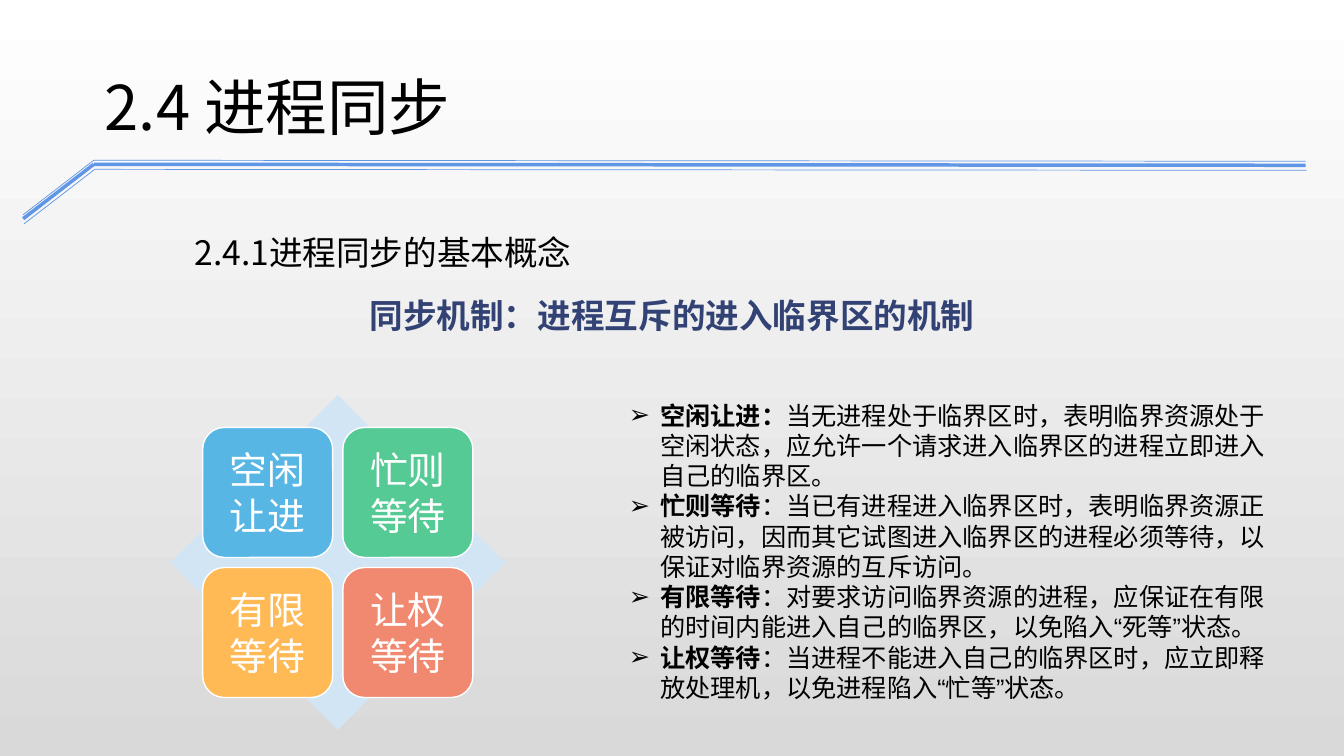
from lxml.etree import SubElement
from pptx import Presentation
from pptx.dml.color import RGBColor
from pptx.enum.shapes import MSO_CONNECTOR, MSO_SHAPE
from pptx.enum.text import MSO_ANCHOR, PP_ALIGN
from pptx.oxml.ns import qn
from pptx.util import Inches, Pt

COLORS = {
    "white": "FFFFFF", "shade": "D9D9D9", "ink": "000000", "navy": "324274",
    "rule": "6096E6", "diamond": "D1E5F5", "blue": "58B6E5",
    "green": "56CA95", "amber": "FFBA55", "coral": "F18870",
}
HEADING_FONT = "Noto Sans CJK JP"
BODY_FONT = "Arial"


def color(name):
    return RGBColor.from_string(COLORS[name])


def add_run(paragraph, text, size=18, font=BODY_FONT, ink="ink", bold=False):
    run = paragraph.add_run()
    run.text = text
    run.font.size = Pt(size)
    run.font.name = font
    run.font.bold = bold
    run.font.color.rgb = color(ink)
    SubElement(run.font._element, qn("a:ea"), typeface=font)


class SlideBuilder:
    def __init__(self, slide):
        self.slide = slide

    def background(self, top, bottom):
        fill = self.slide.background.fill
        fill.gradient()
        fill.gradient_angle = 270
        for stop, name, position in zip(fill.gradient_stops, (top, bottom), (0, 1)):
            stop.color.rgb = color(name)
            stop.position = position

    def line(self, start, end, width):
        connector = self.slide.shapes.add_connector(
            MSO_CONNECTOR.STRAIGHT, *map(Inches, start + end))
        connector.line.color.rgb = color("rule")
        connector.line.width = Pt(width)
        SubElement(connector._element.spPr, qn("a:effectLst"))

    def heading(self, text, box, align=PP_ALIGN.LEFT, spacing=1.0, **style):
        frame = self.slide.shapes.add_textbox(*map(Inches, box)).text_frame
        frame.word_wrap = True
        paragraph = frame.paragraphs[0]
        paragraph.alignment = align
        paragraph.line_spacing = spacing
        add_run(paragraph, text, font=HEADING_FONT, **style)

    def shape(self, preset, box, fill):
        shape = self.slide.shapes.add_shape(preset, *map(Inches, box))
        shape.shadow.inherit = False
        shape.fill.solid()
        shape.fill.fore_color.rgb = color(fill)
        shape.line.fill.background()
        return shape

    def card(self, text, box, fill):
        card = self.shape(MSO_SHAPE.ROUNDED_RECTANGLE, box, fill)
        card.line.color.rgb = color("white")
        card.line.width = Pt(1)
        frame = card.text_frame
        frame.word_wrap = True
        frame.vertical_anchor = MSO_ANCHOR.MIDDLE
        frame.margin_left = frame.margin_right = Inches(0.11)
        frame.margin_top = frame.margin_bottom = Inches(0.11)
        frame.paragraphs[0].alignment = PP_ALIGN.CENTER
        add_run(frame.paragraphs[0], text, size=27, ink="white")

    def bullets(self, items, box):
        """Write (bold term, explanation) pairs as one bulleted list."""
        frame = self.slide.shapes.add_textbox(*map(Inches, box)).text_frame
        frame.word_wrap = True
        for index, (term, explanation) in enumerate(items):
            paragraph = frame.add_paragraph() if index else frame.paragraphs[0]
            properties = paragraph._p.get_or_add_pPr()
            properties.set("marL", str(Inches(0.31)))
            properties.set("indent", str(-Inches(0.31)))
            SubElement(properties, qn("a:buFont"), typeface=BODY_FONT)
            SubElement(properties, qn("a:buChar"), char="➢")
            add_run(paragraph, term, bold=True)
            add_run(paragraph, explanation)


PRINCIPLES = [
    ("空闲让进：", "当无进程处于临界区时，表明临界资源处于空闲状态，应允许一个请求进入临界区的进程立即进入自己的临界区。"),
    ("忙则等待", "：当已有进程进入临界区时，表明临界资源正被访问，因而其它试图进入临界区的进程必须等待，以保证对临界资源的互斥访问。"),
    ("有限等待", "：对要求访问临界资源的进程，应保证在有限的时间内能进入自己的临界区，以免陷入“死等”状态。"),
    ("让权等待", "：当进程不能进入自己的临界区时，应立即释放处理机，以免进程陷入“忙等”状态。"),
]
CARD_FILLS = ["blue", "green", "amber", "coral"]
CARD_SIZE, CARD_PITCH = 1.29, 1.39


def main():
    deck = Presentation()
    deck.slide_width, deck.slide_height = Inches(13.33), Inches(7.5)
    builder = SlideBuilder(deck.slides.add_slide(deck.slide_layouts[6]))
    builder.background("white", "shade")

    for dx, dy, width in [(0, 0, 0.5), (0, 0.04, 2.5), (0.01, 0.09, 0.5)]:
        bend = (0.93 + dx, 1.59 + dy)
        builder.line((0.23 + dx, 2.13 + dy), bend, width)
        builder.line(bend, (12.95 + dx, 1.6 + dy), width)

    builder.heading("2.4.1进程同步的基本概念", (1.83, 2.05, 11.45, 0.71),
                    spacing=1.5, size=24)
    builder.heading("同步机制：进程互斥的进入临界区的机制", (0.52, 2.88, 12.29, 0.5),
                    align=PP_ALIGN.CENTER, size=24, ink="navy", bold=True)
    builder.heading("2.4 进程同步", (0.94, 0.63, 9.52, 0.84), size=44)

    builder.shape(MSO_SHAPE.DIAMOND, (1.69, 3.92, 3.32, 3.32), "diamond")
    for index, ((term, _), fill) in enumerate(zip(PRINCIPLES, CARD_FILLS)):
        row, column = divmod(index, 2)
        box = (2.01 + column * CARD_PITCH, 4.24 + row * CARD_PITCH,
               CARD_SIZE, CARD_SIZE)
        builder.card(term.rstrip("："), box, fill)

    builder.bullets(PRINCIPLES, (6.14, 3.92, 6.67, 3.13))
    deck.save("out.pptx")


if __name__ == "__main__":
    main()
